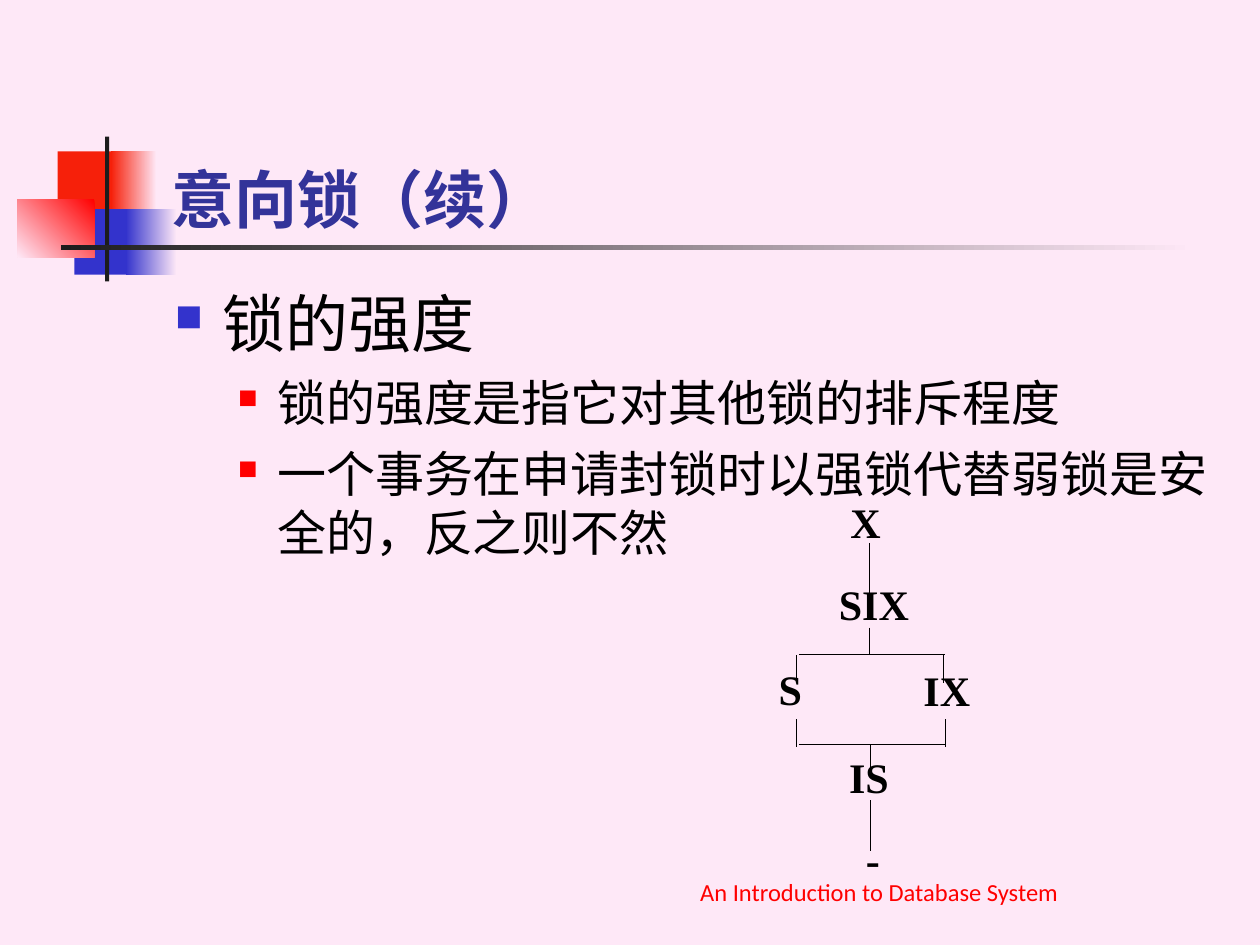
"""Build the slide on intention locks and the order of lock strength."""
from lxml import etree
from pptx import Presentation
from pptx.dml.color import RGBColor
from pptx.enum.shapes import MSO_CONNECTOR, MSO_SHAPE
from pptx.enum.text import MSO_ANCHOR, PP_ALIGN
from pptx.oxml.ns import qn
from pptx.util import Pt

RECT = MSO_SHAPE.RECTANGLE
LINE = MSO_CONNECTOR.STRAIGHT
TOP, BOTTOM = MSO_ANCHOR.TOP, MSO_ANCHOR.BOTTOM
LEFT, MID, FULL = PP_ALIGN.LEFT, PP_ALIGN.CENTER, PP_ALIGN.JUSTIFY

PINK = RGBColor(0xFE, 0xE8, 0xF7)
BRICK = RGBColor(0xF6, 0x20, 0x0A)
RED = RGBColor(0xFF, 0x00, 0x00)
BLUE = RGBColor(0x33, 0x33, 0xCC)
NAVY = RGBColor(0x33, 0x33, 0x99)
DARK = RGBColor(0x1C, 0x1C, 0x1C)
BLACK = RGBColor(0x00, 0x00, 0x00)

deck = Presentation()
deck.slide_width, deck.slide_height = Pt(720), Pt(540)
slide = deck.slides.add_slide(deck.slide_layouts[6])
slide.background.fill.solid()
slide.background.fill.fore_color.rgb = PINK
shapes = slide.shapes


def add_text(text, frame, new=False, size=24, font="Karla", color=BLACK,
             bold=False, align=LEFT, level=0, space=0, lead=None, mark=None):
    para = frame.add_paragraph() if new else frame.paragraphs[0]
    para.level = level
    if mark:
        tint, scale, start, hang = mark
        props = para._p.get_or_add_pPr()
        props.set("marL", str(Pt(start)))
        props.set("indent", str(-Pt(hang)))
        hue = etree.SubElement(props, qn("a:buClr"))
        etree.SubElement(hue, qn("a:srgbClr"), val=str(tint))
        etree.SubElement(props, qn("a:buSzPct"), val=str(scale * 1000))
        etree.SubElement(props, qn("a:buChar"), char="■")
    para.alignment = align
    para.space_before = Pt(space)
    if lead:
        para.line_spacing = lead
    run = para.add_run()
    run.text = text
    run.font.size = Pt(size)
    run.font.name = font
    run.font.bold = bold
    run.font.color.rgb = color


def add_box(left, top, width, height, anchor=TOP):
    box = shapes.add_textbox(Pt(left), Pt(top), Pt(width), Pt(height))
    frame = box.text_frame
    frame.word_wrap = True
    frame.vertical_anchor = anchor
    return frame


blocks = [
    (33, 86.5, 34.5, 37.5, BRICK, None, 0),
    (63.5, 86.5, 26, 37.5, PINK, BRICK, 180),
    (42.5, 119.5, 33, 37.5, BLUE, None, 0),
    (72, 119.5, 29, 37.5, PINK, BLUE, 180),
    (10, 113.8, 44, 33.2, RED, PINK, 225),
    (60, 78, 2.4, 82.8, DARK, None, 0),
    (34.8, 140.2, 648, 2.4, PINK, DARK, 180),
]
for left, top, width, height, first, last, angle in blocks:
    block = shapes.add_shape(RECT, Pt(left), Pt(top), Pt(width), Pt(height))
    block.shadow.inherit = False
    block.line.fill.background()
    if last is None:
        block.fill.solid()
        block.fill.fore_color.rgb = first
    else:
        block.fill.gradient()
        block.fill.gradient_angle = angle
        for stop, color in zip(block.fill.gradient_stops, (first, last)):
            stop.color.rgb = color

title = add_box(90.7, 48.2, 613.4, 90, BOTTOM)
add_text("意向锁（续）", title, size=36, color=NAVY, bold=True)

body = add_box(92.9, 159.1, 612, 324)
add_text("锁的强度", body, size=36, mark=(BLUE, 60, 27, 27))
for point in ("锁的强度是指它对其他锁的排斥程度",
              "一个事务在申请封锁时以强锁代替弱锁是安全的，反之则不然"):
    add_text(point, body, new=True, size=28, level=1, space=7,
             mark=(RED, 55, 58.5, 22.5))

links = [
    (456.5, 373.7, 540, 373.7),
    (456.5, 425.5, 540, 425.5),
    (455, 411, 455, 427),
    (539.3, 374.4, 539.3, 390.2),
    (455, 374.4, 455, 390.2),
    (540, 411, 540, 427),
    (496.8, 358.6, 496.8, 373.7),
    (497.5, 425.5, 497.5, 440.6),
    (496.8, 310.3, 496.8, 339.8),
    (497.5, 457.2, 497.5, 486),
]
for ends in links:
    link = shapes.add_connector(LINE, *map(Pt, ends))
    link.line.color.rgb = BLACK
    link.line.width = Pt(0.5)
    etree.SubElement(link._element.spPr, qn("a:effectLst"))

locks = [
    ("X", 478.8, 282.2, 42.5, 33.1),
    ("SIX", 472.3, 329, 60.5, 40.3),
    ("S", 437.8, 377.3, 39.6, 40.3),
    ("IX", 520.6, 378, 43.2, 40.3),
    ("IS", 478.1, 427.7, 54, 40.3),
    ("-", 487.7, 474.5, 35, 36),
]
for name, *place in locks:
    add_text(name, add_box(*place), font="Times New Roman", bold=True,
             align=FULL, lead=0.96)

foot = add_box(314.6, 485.3, 375.8, 36, BOTTOM)
add_text("An Introduction to Database System", foot, size=14,
         font="Calibri", color=RED, align=MID)

deck.save("out.pptx")
